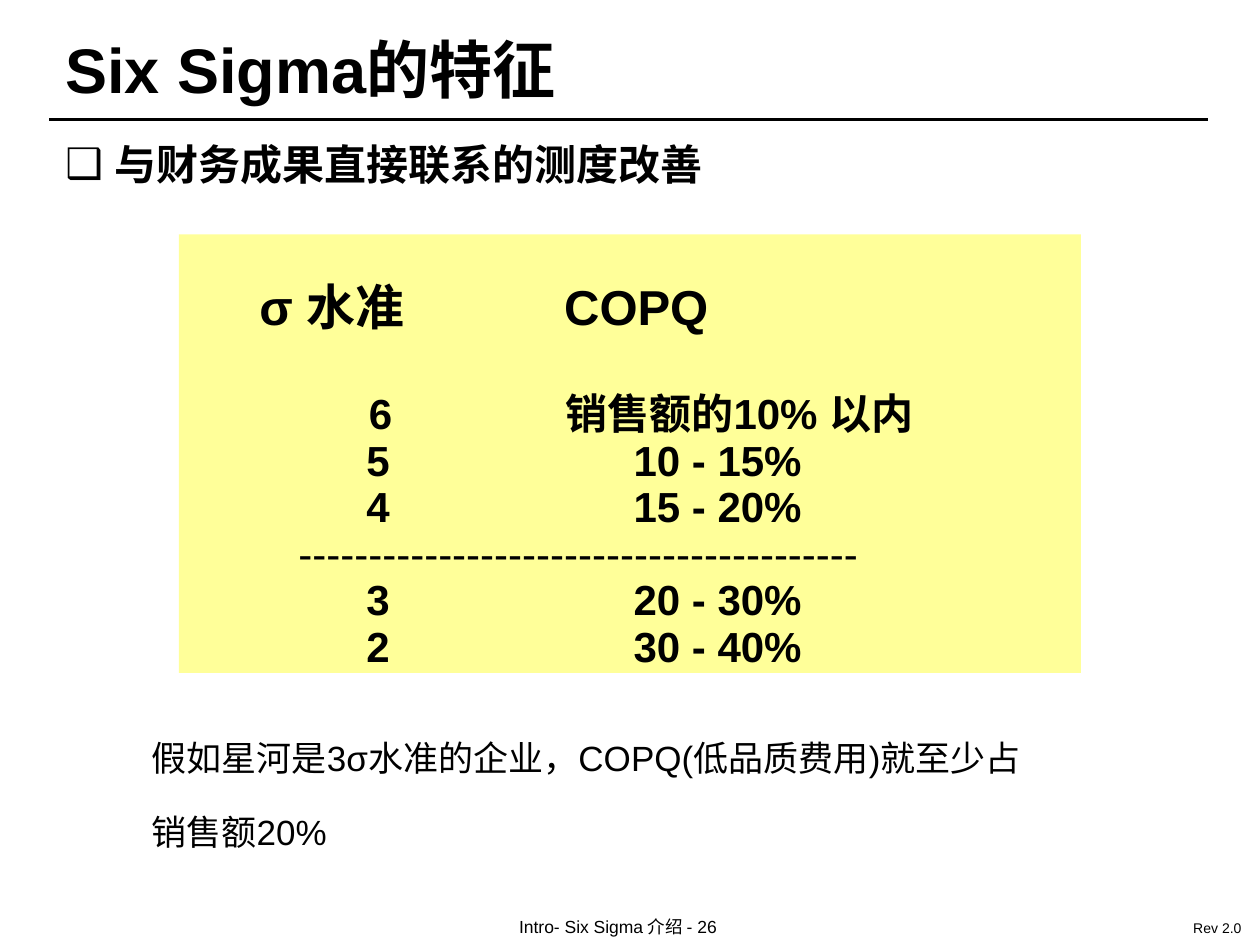
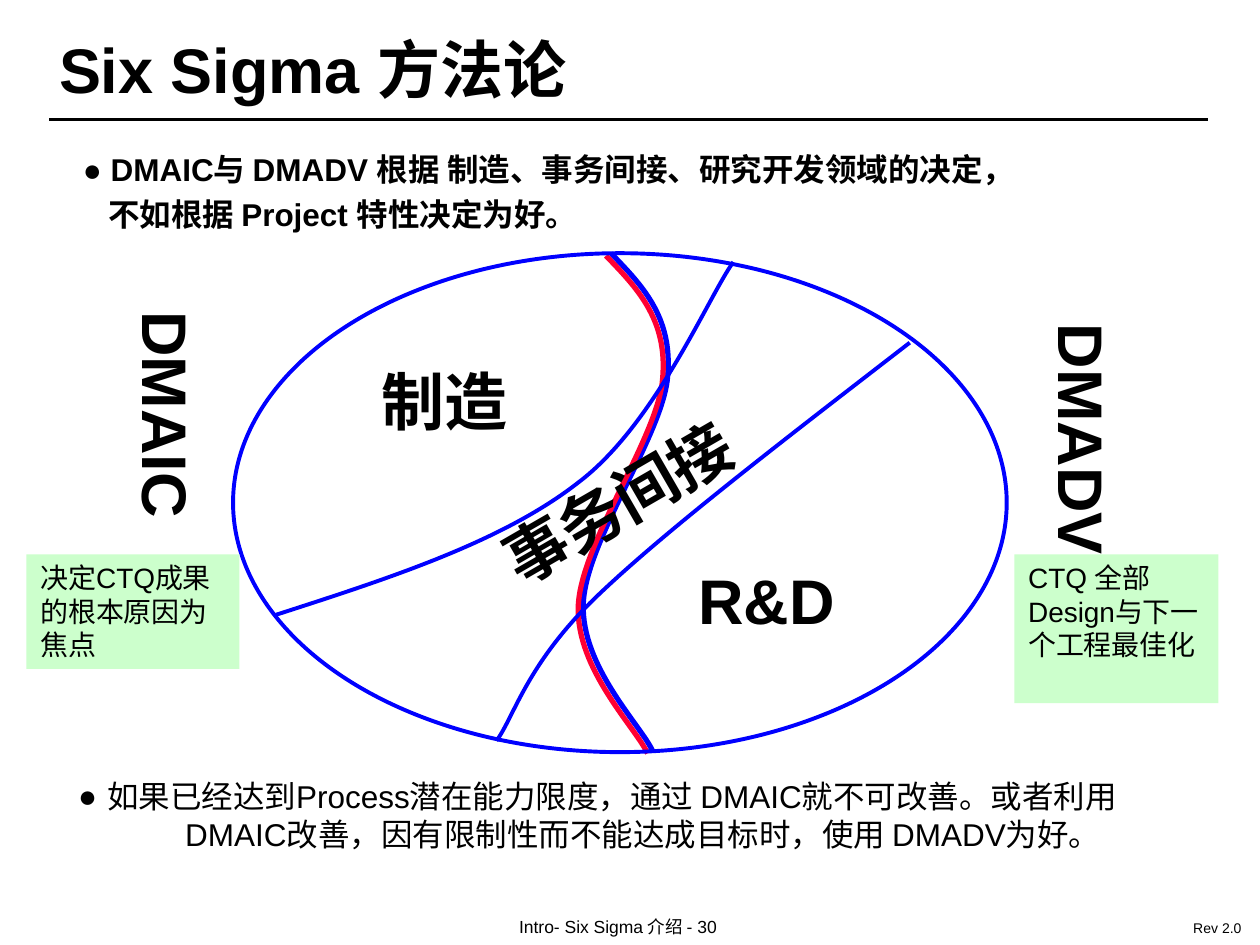
from lxml import etree
from pptx import Presentation
from pptx.dml.color import RGBColor
from pptx.enum.shapes import MSO_CONNECTOR, MSO_SHAPE
from pptx.enum.text import MSO_ANCHOR, PP_ALIGN
from pptx.oxml.ns import qn
from pptx.util import Inches, Pt

BLACK = RGBColor(0x00, 0x00, 0x00)
YELLOW = RGBColor(0xFF, 0xFF, 0x99)
GREEN = RGBColor(0xCC, 0xFF, 0xCC)
BLUE = RGBColor(0x00, 0x00, 0xFF)
RED = RGBColor(0xFF, 0x00, 0x33)
FONT = "Arial"
RECT, ROUNDED, OVAL = MSO_SHAPE.RECTANGLE, MSO_SHAPE.ROUNDED_RECTANGLE, MSO_SHAPE.OVAL
STRAIGHT = MSO_CONNECTOR.STRAIGHT
TOP = MSO_ANCHOR.TOP
LEFT = PP_ALIGN.LEFT
INSETS = (0.1, 0.05, 0.1, 0.05)
WIDE_INSETS = (0.11, 0.05, 0.11, 0.05)
PANEL_INSETS = (0.1, 0.41, 0.1, 0)
NO_INSETS = (0, 0, 0, 0)
FOOTER_INSETS = (0.12, 0.06, 0, 0)

ROW_PITCH = 26.6
HEADER_GAP = 32.4
DASHES = "-" * 40
SIGMA_ROWS = [("6", 1.41, HEADER_GAP), ("5", 1.39, 0), ("4", 1.39, 0),
              (DASHES, 0.85, 0), ("3", 1.39, 0), ("2", 1.39, 0)]
COPQ_ROWS = [("销售额的10% 以内", 2.97, HEADER_GAP), ("10 - 15%", 3.51, 0),
             ("15 - 20%", 3.51, 0), ("20 - 30%", 3.51, ROW_PITCH), ("30 - 40%", 3.51, 0)]


def inches(values):
    return [Inches(v) for v in values]


def setup_text(sp, insets=INSETS):
    tf = sp.text_frame
    tf.word_wrap = True
    tf.vertical_anchor = TOP
    tf.margin_left, tf.margin_top, tf.margin_right, tf.margin_bottom = inches(insets)
    return tf


def text_box(s, box, insets=INSETS):
    sp = s.shapes.add_textbox(*inches(box))
    setup_text(sp, insets)
    return sp


def paint(sp, fill=None, line=None, width=2.25):
    sp.shadow.inherit = False
    if fill is None:
        sp.fill.background()
    else:
        sp.fill.solid()
        sp.fill.fore_color.rgb = fill
    if line is None:
        sp.line.fill.background()
    else:
        sp.line.color.rgb = line
        sp.line.width = Pt(width)


def add_shape(s, kind, box, fill=None, line=None):
    sp = s.shapes.add_shape(kind, *inches(box))
    paint(sp, fill, line)
    return sp


def add_text(tf, text, size, bold=False, before=0, spacing=None, margin=0, bullet=None):
    p = tf.paragraphs[0]
    if p.runs:
        p = tf.add_paragraph()
        p.space_before = Pt(before)
    p.alignment = LEFT
    if spacing:
        p.line_spacing = spacing
    pPr = p._p.get_or_add_pPr()
    pPr.set("marL", str(Inches(margin)))
    pPr.set("indent", str(-Inches(margin) if bullet else 0))
    if bullet:
        etree.SubElement(pPr, qn("a:buFont"), typeface=FONT)
        etree.SubElement(pPr, qn("a:buChar"), char=bullet)
    else:
        etree.SubElement(pPr, qn("a:buNone"))
    r = p.add_run()
    r.text = text
    r.font.name = FONT
    r.font.size = Pt(size)
    r.font.bold = bold
    r.font.color.rgb = BLACK


def frame(prs, title, left, page):
    s = prs.slides.add_slide(prs.slide_layouts[6])
    footer = text_box(s, (4, 7.21, 2.36, 0.29), FOOTER_INSETS)
    add_text(footer.text_frame, f"Intro- Six Sigma 介绍 - {page}", 10)
    revision = text_box(s, (9.35, 7.24, 0.63, 0.25), FOOTER_INSETS)
    add_text(revision.text_frame, "Rev 2.0", 8)
    rule = s.shapes.add_connector(STRAIGHT, *inches((0.39, 0.95, 9.59, 0.95)))
    rule.line.color.rgb = BLACK
    rule.line.width = Pt(1.5)
    etree.SubElement(rule._element.spPr, qn("a:effectLst"))
    heading = text_box(s, (left, 0.19, 4.49, 0.7))
    add_text(heading.text_frame, title, 36, bold=True)
    return s


def fill_column(tf, header, header_margin, rows):
    add_text(tf, header, 28, bold=True, spacing=Pt(28), margin=header_margin)
    for text, margin, before in rows:
        add_text(tf, text, 24, bold=text != DASHES, before=before,
                 spacing=Pt(ROW_PITCH), margin=margin)


def copq_panel(s, box):
    panel = add_shape(s, RECT, box, fill=YELLOW)
    fill_column(setup_text(panel, PANEL_INSETS), "σ 水准", 0.54, SIGMA_ROWS)
    costs = text_box(s, box, PANEL_INSETS)
    fill_column(costs.text_frame, "COPQ", 2.96, COPQ_ROWS)


def features_slide(prs):
    s = frame(prs, "Six Sigma的特征", 0.42, 26)
    copq_panel(s, (1.42, 1.86, 7.16, 3.48))
    note = add_shape(s, ROUNDED, (1.06, 5.65, 8.41, 1.21))
    note.adjustments[0] = 0.125
    tf = setup_text(note)
    add_text(tf, "假如星河是3σ水准的企业，COPQ(低品质费用)就至少占", 20, spacing=1.3)
    add_text(tf, "销售额20%", 20, before=11.2, spacing=1.3)
    lead = text_box(s, (0.42, 1.05, 6.04, 0.5))
    add_text(lead.text_frame, "与财务成果直接联系的测度改善", 24, bold=True,
             margin=0.39, bullet="❑")


def add_curve(s, origin, points, color, width):
    x0, y0 = origin
    pts = [inches((x0 + x, y0 + y)) for x, y in points]
    fb = s.shapes.build_freeform(*pts[0], scale=1.0)
    fb.add_line_segments(pts[1:], close=False)
    sp = fb.convert_to_shape()
    outline = next(sp._element.iter(qn("a:moveTo"))).getparent()
    segments = outline.findall(qn("a:lnTo"))
    for i in range(0, len(segments), 3):
        cubic = etree.SubElement(outline, qn("a:cubicBezTo"))
        for segment in segments[i:i + 3]:
            cubic.append(segment[0])
            outline.remove(segment)
    paint(sp, line=color, width=width)


def domain_map(s, box):
    x, y = box[:2]
    divide = [(3, 0), (3.24, 0.25), (3.49, 0.5), (3.45, 0.97), (3.42, 1.43),
              (2.8, 2.28), (2.78, 2.78), (2.76, 3.28), (3.24, 3.75), (3.33, 3.95)]
    upper = [(0.34, 2.87), (1.24, 2.58), (2.14, 2.29), (2.74, 1.82),
             (3.35, 1.36), (3.77, 0.35), (3.97, 0.07)]
    lower = [(5.37, 0.71), (4.4, 1.46), (3.42, 2.21), (2.88, 2.73),
             (2.33, 3.26), (2.23, 3.68), (2.09, 3.87)]
    add_curve(s, (x, y), divide, BLUE, 3)
    add_curve(s, (x - 0.04, y + 0.02), divide, RED, 3)
    add_shape(s, OVAL, box, line=BLUE)
    for edge in (upper, lower):
        add_curve(s, (x, y), edge, BLUE, 2.25)
    for text, dx, dy, width, angle in [("制造", 1.18, 0.87, 1.12, 0),
                                       ("R&D", 3.69, 2.45, 1.12, 0),
                                       ("事务间接", 2.05, 1.67, 2.02, 330)]:
        label = text_box(s, (x + dx, y + dy, width, 0.6), NO_INSETS)
        label.rotation = angle
        add_text(label.text_frame, text, 36, bold=True)


def method_side(s, name, name_box, note, note_box):
    label = text_box(s, name_box, NO_INSETS)
    label.text_frame._txBody.bodyPr.set("vert", "eaVert")
    add_text(label.text_frame, name, 36, bold=True)
    card = add_shape(s, RECT, note_box, fill=GREEN)
    add_text(setup_text(card, WIDE_INSETS), note, 16)


def methodology_slide(prs):
    s = frame(prs, "Six Sigma 方法论", 0.37, 30)
    tf = text_box(s, (0.56, 1.14, 8.89, 0.93)).text_frame
    add_text(tf, "● DMAIC与 DMADV 根据 制造、事务间接、研究开发领域的决定，", 18, bold=True)
    add_text(tf, "不如根据 Project 特性决定为好。", 18, bold=True, before=4.5, margin=0.2)
    tf = text_box(s, (0.51, 6.12, 8.99, 0.8), WIDE_INSETS).text_frame
    add_text(tf, "如果已经达到Process潜在能力限度，通过 DMAIC就不可改善。或者利用", 18,
             margin=0.23, bullet="●")
    add_text(tf, "DMAIC改善，因有限制性而不能达成目标时，使用 DMADV为好。", 18, margin=0.85)
    domain_map(s, (1.85, 2.01, 6.14, 3.96))
    method_side(s, "DMAIC", (1.03, 2.47, 0.6, 1.68),
                "决定CTQ成果的根本原因为焦点", (0.21, 4.4, 1.69, 0.91))
    method_side(s, "DMADV", (8.3, 2.57, 0.6, 2.07),
                "CTQ 全部Design与下一个工程最佳化", (8.05, 4.4, 1.62, 1.18))


def main():
    prs = Presentation()
    prs.slide_width, prs.slide_height = Inches(10), Inches(7.5)
    features_slide(prs)
    methodology_slide(prs)
    prs.save("out.pptx")


if __name__ == "__main__":
    main()
